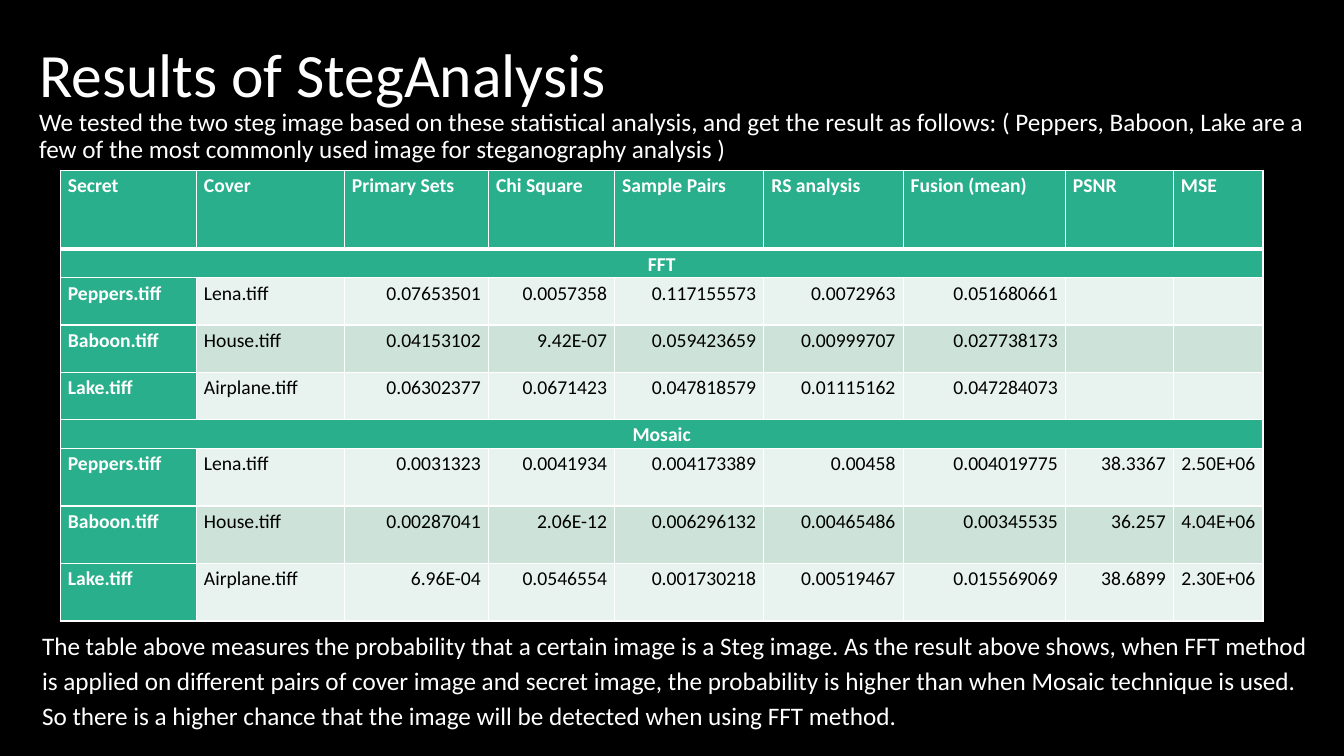
"""Build the slide with the steganalysis results table."""
from lxml import etree
from pptx import Presentation
from pptx import util as u
from pptx.dml.color import RGBColor
from pptx.enum import text
from pptx.oxml import ns

COLORS = {"black": "000000", "white": "FFFFFF", "green": "29AF8C",
          "light": "E8F2EE", "medium": "CDE3DA"}
ALIGN = text.PP_ALIGN


def write(paragraph, wording, size, color, bold, layout):
    """Add one run to a paragraph and apply its paragraph settings."""
    for name, value in layout.items():
        setattr(paragraph, name, value)
    run = paragraph.add_run()
    run.text = wording
    for name, value in {"name": "Calibri", "size": u.Pt(size), "bold": bold}.items():
        setattr(run.font, name, value)
    run.font.color.rgb = RGBColor.from_string(COLORS[color])


def add_border(cell, side, width):
    """Draw a white border on one side of a cell."""
    line = etree.Element(ns.qn(f"a:ln{side}"), w=str(u.Pt(width)))
    fill = etree.SubElement(line, ns.qn("a:solidFill"))
    etree.SubElement(fill, ns.qn("a:srgbClr"), val=COLORS["white"])
    properties = cell._tc.get_or_add_tcPr()
    properties.insert(len(properties.findall("*")) - 1, line)


presentation = Presentation()
presentation.slide_width = u.Cm(33.87)
presentation.slide_height = u.Cm(19.05)
slide = presentation.slides.add_slide(presentation.slide_layouts[6])
slide.background.fill.solid()
slide.background.fill.fore_color.rgb = RGBColor.from_string(COLORS["black"])

texts = [
    ((0.74, 0, 26.14, 3.89), 44, text.MSO_ANCHOR.MIDDLE, {"line_spacing": 0.9},
     "Results of StegAnalysis"),
    ((0.74, 2.64, 32.66, 1.6), 18, text.MSO_ANCHOR.TOP, {"line_spacing": 0.9},
     "We tested the two steg image based on these statistical analysis, and get the "
     "result as follows: ( Peppers, Baboon, Lake are a few of the most commonly used "
     "image for steganography analysis )"),
    ((0.81, 15.65, 32.59, 2.87), 18, text.MSO_ANCHOR.TOP,
     {"line_spacing": 1.15, "space_after": u.Pt(10)},
     "The table above measures the probability that a certain image is a Steg image. "
     "As the result above shows, when FFT method is applied on different pairs of cover "
     "image and secret image, the probability is higher than when Mosaic technique is "
     "used. So there is a higher chance that the image will be detected when using FFT "
     "method."),
]
for box, size, anchor, layout, wording in texts:
    shape = slide.shapes.add_textbox(*map(u.Cm, box))
    shape.text_frame.word_wrap = True
    shape.text_frame.vertical_anchor = anchor
    write(shape.text_frame.paragraphs[0], wording, size, "white", False, layout)

rows = [
    ["Secret", "Cover", "Primary Sets", "Chi Square", "Sample Pairs", "RS analysis",
     "Fusion (mean)", "PSNR", "MSE"],
    ["FFT"],
    ["Peppers.tiff", "Lena.tiff", "0.07653501", "0.0057358", "0.117155573",
     "0.0072963", "0.051680661"],
    ["Baboon.tiff", "House.tiff", "0.04153102", "9.42E-07", "0.059423659",
     "0.00999707", "0.027738173"],
    ["Lake.tiff", "Airplane.tiff", "0.06302377", "0.0671423", "0.047818579",
     "0.01115162", "0.047284073"],
    ["Mosaic"],
    ["Peppers.tiff", "Lena.tiff", "0.0031323", "0.0041934", "0.004173389",
     "0.00458", "0.004019775", "38.3367", "2.50E+06"],
    ["Baboon.tiff", "House.tiff", "0.00287041", "2.06E-12", "0.006296132",
     "0.00465486", "0.00345535", "36.257", "4.04E+06"],
    ["Lake.tiff", "Airplane.tiff", "6.96E-04", "0.0546554", "0.001730218",
     "0.00519467", "0.015569069", "38.6899", "2.30E+06"],
]
widths = [3.43, 3.73, 3.63, 3.18, 3.76, 3.51, 4.09, 2.72, 2.26]
heights = [1.98] + [0.73, 1.19, 1.19, 1.19] + [0.73, 1.45, 1.45, 1.45]
table = slide.shapes.add_table(
    len(rows), len(widths), u.Cm(1.52), u.Cm(4.29),
    u.Cm(sum(widths)), u.Cm(sum(heights))).table
table.first_row = table.horz_banding = False
for column, width in zip(table.columns, widths):
    column.width = u.Cm(width)
for row, height in zip(table.rows, heights):
    row.height = u.Cm(height)

cell_margins = {"margin_left": u.Cm(0.19), "margin_right": u.Cm(0.19),
                "margin_top": 0, "margin_bottom": 0}
for row_index, values in enumerate(rows):
    is_section = len(values) == 1
    if is_section:
        table.cell(row_index, 0).merge(table.cell(row_index, len(widths) - 1))
    for column_index in range(len(widths)):
        cell = table.cell(row_index, column_index)
        is_heading = row_index == 0 or column_index == 0 or is_section
        band = "medium" if rows[row_index][0] == "Baboon.tiff" else "light"
        for name, value in cell_margins.items():
            setattr(cell, name, value)
        cell.fill.solid()
        cell.fill.fore_color.rgb = RGBColor.from_string(
            COLORS["green" if is_heading else band])
        for side in "LRTB":
            is_thick = (row_index, side) in [(0, "B"), (1, "T")]
            add_border(cell, side, 3 if is_thick else 1)
        paragraph = cell.text_frame.paragraphs[0]
        if column_index >= len(values):
            etree.SubElement(paragraph._p, ns.qn("a:endParaRPr"), sz="1400")
            continue
        if is_section:
            alignment = ALIGN.CENTER
        else:
            alignment = ALIGN.RIGHT if row_index and column_index > 1 else ALIGN.LEFT
        write(paragraph, values[column_index], 14, "white" if is_heading else "black",
              is_heading, {"alignment": alignment, "line_spacing": 1.15})

presentation.save("out.pptx")
